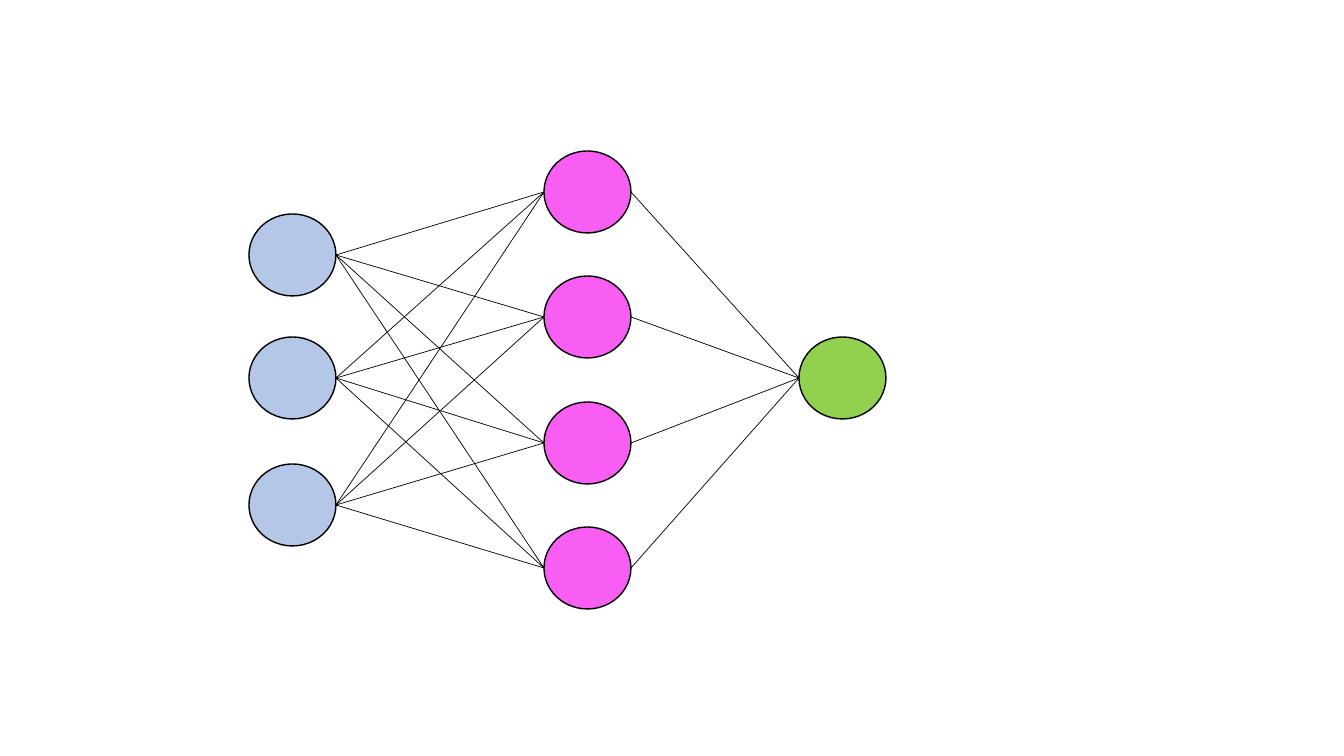
import itertools
import lxml.etree
import pptx
import pptx.dml.color
import pptx.enum.shapes
import pptx.oxml.ns
import pptx.util

RGBColor = pptx.dml.color.RGBColor
BLUE = RGBColor(0xB4, 0xC7, 0xE7)
PINK = RGBColor(0xF8, 0x5E, 0xF1)
GREEN = RGBColor(0x92, 0xD0, 0x50)
BLACK = RGBColor(0, 0, 0)

LAYERS = [
    {"left": 249, "tops": [214, 337, 464], "fill": BLUE},
    {"left": 544, "tops": [151, 276, 402, 527], "fill": PINK},
    {"left": 799, "tops": [337], "fill": GREEN},
]
NODE_W, NODE_H = 87, 82
SLIDE_W, SLIDE_H = 1344, 756
EMU_PER_PX = 914400 / 100.8


def px(n):
    return pptx.util.Emu(round(n * EMU_PER_PX))


def set_line(sp, width):
    sp.line.color.rgb = BLACK
    sp.line.width = pptx.util.Pt(width)


def add_node(left, top, fill):
    sp = slide.shapes.add_shape(
        pptx.enum.shapes.MSO_SHAPE.OVAL, px(left), px(top), px(NODE_W), px(NODE_H))
    sp.shadow.inherit = False
    sp.fill.solid()
    sp.fill.fore_color.rgb = fill
    set_line(sp, 1)


def add_link(x1, y1, x2, y2):
    sp = slide.shapes.add_connector(
        pptx.enum.shapes.MSO_CONNECTOR.STRAIGHT, px(x1), px(y1), px(x2), px(y2))
    set_line(sp, 0.5)
    lxml.etree.SubElement(sp._element.spPr, pptx.oxml.ns.qn("a:effectLst"))


prs = pptx.Presentation()
prs.slide_width, prs.slide_height = px(SLIDE_W), px(SLIDE_H)
slide = prs.slides.add_slide(prs.slide_layouts[6])

for layer in LAYERS:
    for top in layer["tops"]:
        add_node(layer["left"], top, layer["fill"])

for source, target in zip(LAYERS, LAYERS[1:]):
    for start, end in itertools.product(source["tops"], target["tops"]):
        add_link(source["left"] + NODE_W, start + NODE_H / 2,
                 target["left"], end + NODE_H / 2)

prs.save("out.pptx")
